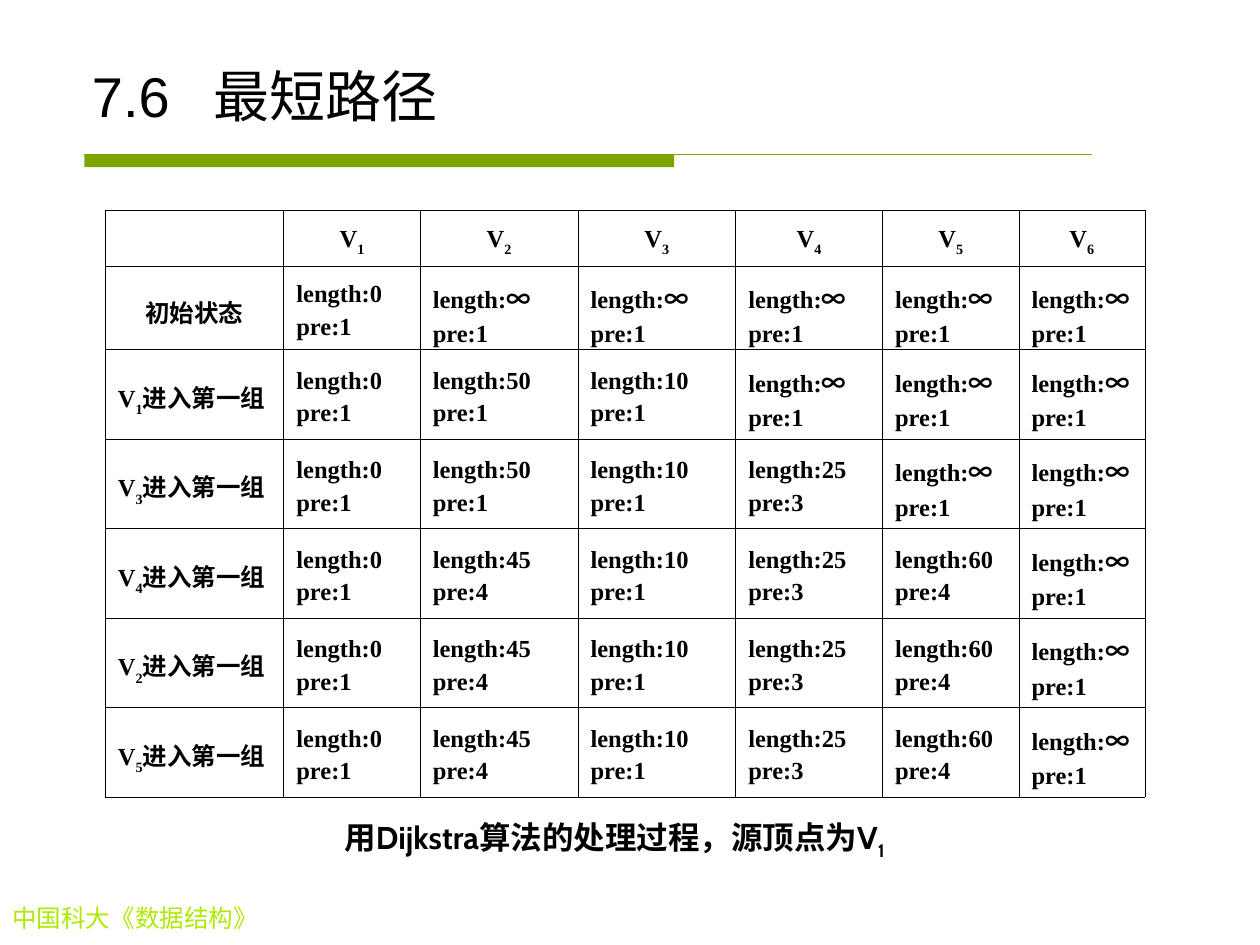
from dataclasses import dataclass

from lxml import etree
from pptx import Presentation
from pptx.dml.color import RGBColor
from pptx.enum import shapes, text
from pptx.oxml import ns
from pptx.util import Cm, Pt


@dataclass(frozen=True)
class Theme:
    green: RGBColor = RGBColor(0x7B, 0xA6, 0x00)
    lime: RGBColor = RGBColor(0xAD, 0xEA, 0x00)
    black: RGBColor = RGBColor(0, 0, 0)
    serif: str = "Times New Roman"
    sans: str = "Arial"
    caption_face: str = "Cabin"
    chinese: str = "Noto Sans CJK SC"
    title_size: Pt = Pt(32)
    caption_size: Pt = Pt(18)
    body_size: Pt = Pt(14)
    hairline: Pt = Pt(0.45)
    rule: Pt = Pt(0.75)


THEME = Theme()


@dataclass(frozen=True)
class Style:
    face: str
    size: Pt
    color: RGBColor = THEME.black
    bold: bool = False


TITLE = Style(THEME.sans, THEME.title_size)
FOOTER = Style(THEME.serif, THEME.body_size, THEME.lime)
CAPTION = Style(THEME.caption_face, THEME.caption_size, bold=True)
CELL = Style(THEME.serif, THEME.body_size, bold=True)
INFINITY = Style(THEME.chinese, THEME.body_size, bold=True)


@dataclass(frozen=True)
class Span:
    words: str
    style: Style
    baseline: int = 0  # percent of the type size


@dataclass(frozen=True)
class Step:
    """One state of the algorithm: the vertex that joined, and length/pre of each vertex."""
    vertex: str
    states: str


STEPS = [
    Step("", "0/1 ∞/1 ∞/1 ∞/1 ∞/1 ∞/1"),
    Step("1", "0/1 50/1 10/1 ∞/1 ∞/1 ∞/1"),
    Step("3", "0/1 50/1 10/1 25/3 ∞/1 ∞/1"),
    Step("4", "0/1 45/4 10/1 25/3 60/4 ∞/1"),
    Step("2", "0/1 45/4 10/1 25/3 60/4 ∞/1"),
    Step("5", "0/1 45/4 10/1 25/3 60/4 ∞/1"),
]
COLUMNS = [Cm(width) for width in (3.6, 2.75, 3.18, 3.18, 2.96, 2.75, 2.54)]
HEADER_HEIGHT, STEP_HEIGHT = Cm(1.13), Cm(1.68)


def apply(target, values: dict) -> None:
    for name, value in values.items():
        setattr(target, name, value)


def write(para, spans: list[Span], **layout) -> None:
    apply(para, layout)
    for span in spans:
        run = para.add_run()
        run.text = span.words
        style = span.style
        apply(run.font, {"name": style.face, "size": style.size, "bold": style.bold})
        run.font.color.rgb = style.color
        properties = run._r.get_or_add_rPr()
        etree.SubElement(properties, ns.qn("a:ea"), typeface=THEME.chinese)
        if span.baseline:
            properties.set("baseline", str(span.baseline * 1000))


def add_label(page, place: tuple, spans: list[Span], wrap: bool, **layout) -> None:
    frame = page.shapes.add_textbox(*place).text_frame
    apply(frame, {"word_wrap": wrap, "auto_size": text.MSO_AUTO_SIZE.SHAPE_TO_FIT_TEXT})
    write(frame.paragraphs[0], spans, **layout)


def set_title(page) -> None:
    title = page.shapes.title
    apply(title, {"left": Cm(1.6), "top": Cm(0.84), "width": Cm(22.23), "height": Cm(1.88)})
    frame = title.text_frame
    apply(frame, {"vertical_anchor": text.MSO_ANCHOR.BOTTOM, "word_wrap": True,
                  "auto_size": text.MSO_AUTO_SIZE.NONE})
    para = frame.paragraphs[0]
    tabs = etree.SubElement(para._p.get_or_add_pPr(), ns.qn("a:tabLst"))
    etree.SubElement(tabs, ns.qn("a:tab"), pos=str(Cm(2.44)), algn="l")
    write(para, [Span("7.6\t最短路径", TITLE)], alignment=text.PP_ALIGN.LEFT)


def add_title_rule(page) -> None:
    left, top = Cm(1.7), Cm(3.12)
    bar = page.shapes.add_shape(shapes.MSO_SHAPE.RECTANGLE, left, top, Cm(11.89), Cm(0.25))
    bar.shadow.inherit = False
    bar.fill.solid()
    bar.fill.fore_color.rgb = THEME.green
    bar.line.fill.background()
    line = page.shapes.add_connector(shapes.MSO_CONNECTOR.STRAIGHT,
                                     left, top, left + Cm(20.32), top)
    line.line.color.rgb = THEME.green
    line.line.width = THEME.rule
    etree.SubElement(line._element.spPr, ns.qn("a:effectLst"))


def format_cell(cell) -> None:
    """Give the cell black hairlines on all sides and no fill."""
    cell.vertical_anchor = text.MSO_ANCHOR.MIDDLE
    properties = cell._tc.get_or_add_tcPr()
    for side in ("lnL", "lnR", "lnT", "lnB"):
        border = etree.SubElement(properties, ns.qn(f"a:{side}"), w=str(THEME.hairline))
        fill = etree.SubElement(border, ns.qn("a:solidFill"))
        etree.SubElement(fill, ns.qn("a:srgbClr"), val=str(THEME.black))
    cell.fill.background()


def vertex_name(number: str) -> list[Span]:
    return [Span("V", CELL), Span(number, CELL, -30)]


def write_cell(cell, lines: list[list[Span]], centred: bool = False) -> None:
    frame = cell.text_frame
    align = text.PP_ALIGN.CENTER if centred else text.PP_ALIGN.LEFT
    for index, spans in enumerate(lines):
        para = frame.add_paragraph() if index else frame.paragraphs[0]
        write(para, spans, alignment=align, line_spacing=1.2)


def state_lines(state: str) -> list[list[Span]]:
    length, previous = state.split("/")
    if length == "∞":
        first = [Span("length:", CELL), Span(length, INFINITY)]
    else:
        first = [Span(f"length:{length}", CELL)]
    return [first, [Span(f"pre:{previous}", CELL)]]


def add_steps_table(page) -> None:
    heights = [HEADER_HEIGHT] + [STEP_HEIGHT] * len(STEPS)
    table = page.shapes.add_table(len(heights), len(COLUMNS), Cm(2.12), Cm(4.24),
                                  sum(COLUMNS), sum(heights)).table
    apply(table, {"first_row": False, "horz_banding": False})
    for column, width in zip(table.columns, COLUMNS):
        column.width = width
    for row, height in zip(table.rows, heights):
        row.height = height
    for cell in table.iter_cells():
        format_cell(cell)
    for number in range(1, len(COLUMNS)):
        write_cell(table.cell(0, number), [vertex_name(str(number))], centred=True)
    for row, step in enumerate(STEPS, start=1):
        if step.vertex:
            label = vertex_name(step.vertex) + [Span("进入第一组", CELL)]
        else:
            label = [Span("初始状态", CELL)]
        write_cell(table.cell(row, 0), [label], centred=not step.vertex)
        for column, state in enumerate(step.states.split(), start=1):
            write_cell(table.cell(row, column), state_lines(state))


def main() -> None:
    deck = Presentation()
    apply(deck, {"slide_width": Cm(25.4), "slide_height": Cm(19.05)})
    page = deck.slides.add_slide(deck.slide_layouts.get_by_name("Title Only"))
    set_title(page)
    add_title_rule(page)
    add_label(page, (Cm(0), Cm(18.08), Cm(7.9), Cm(0.86)),
              [Span("中国科大《数据结构》", FOOTER)], wrap=True)
    add_label(page, (Cm(6.18), Cm(16.36), Cm(12.42), Cm(1.12)),
              [Span("用Dijkstra算法的处理过程，源顶点为V", CAPTION), Span("1", CAPTION, -25)],
              wrap=False, alignment=text.PP_ALIGN.CENTER)
    add_steps_table(page)
    deck.save("out.pptx")


if __name__ == "__main__":
    main()
